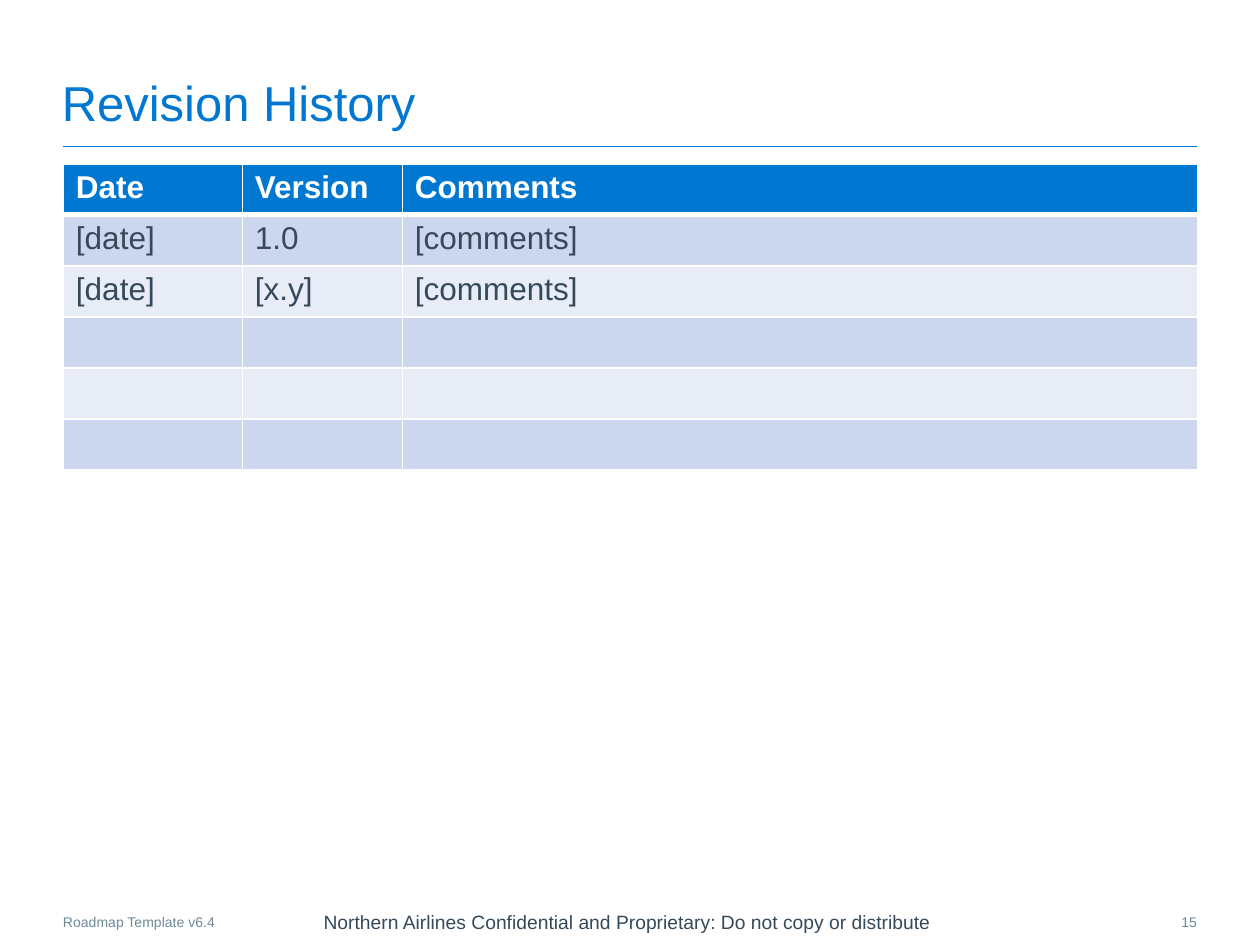
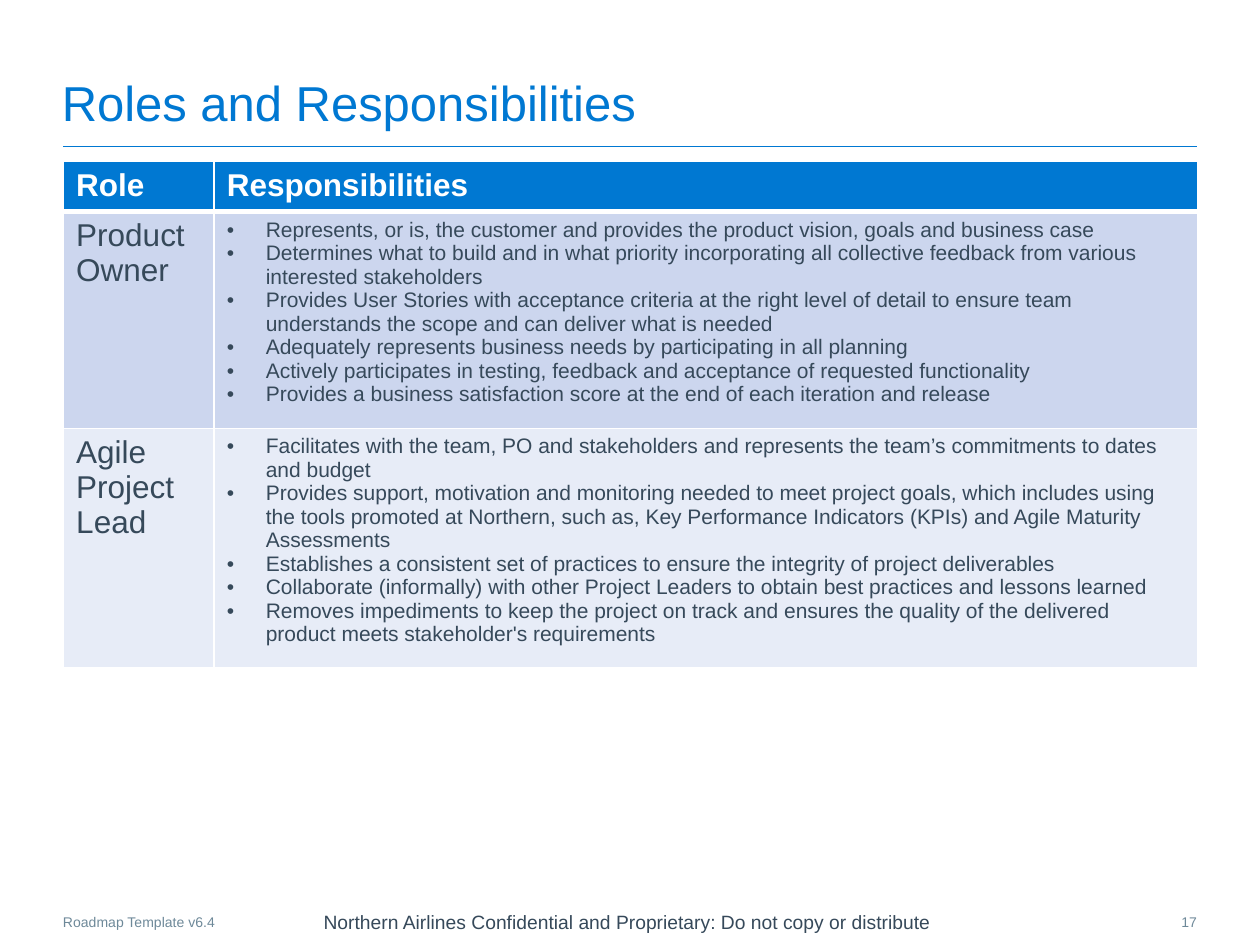
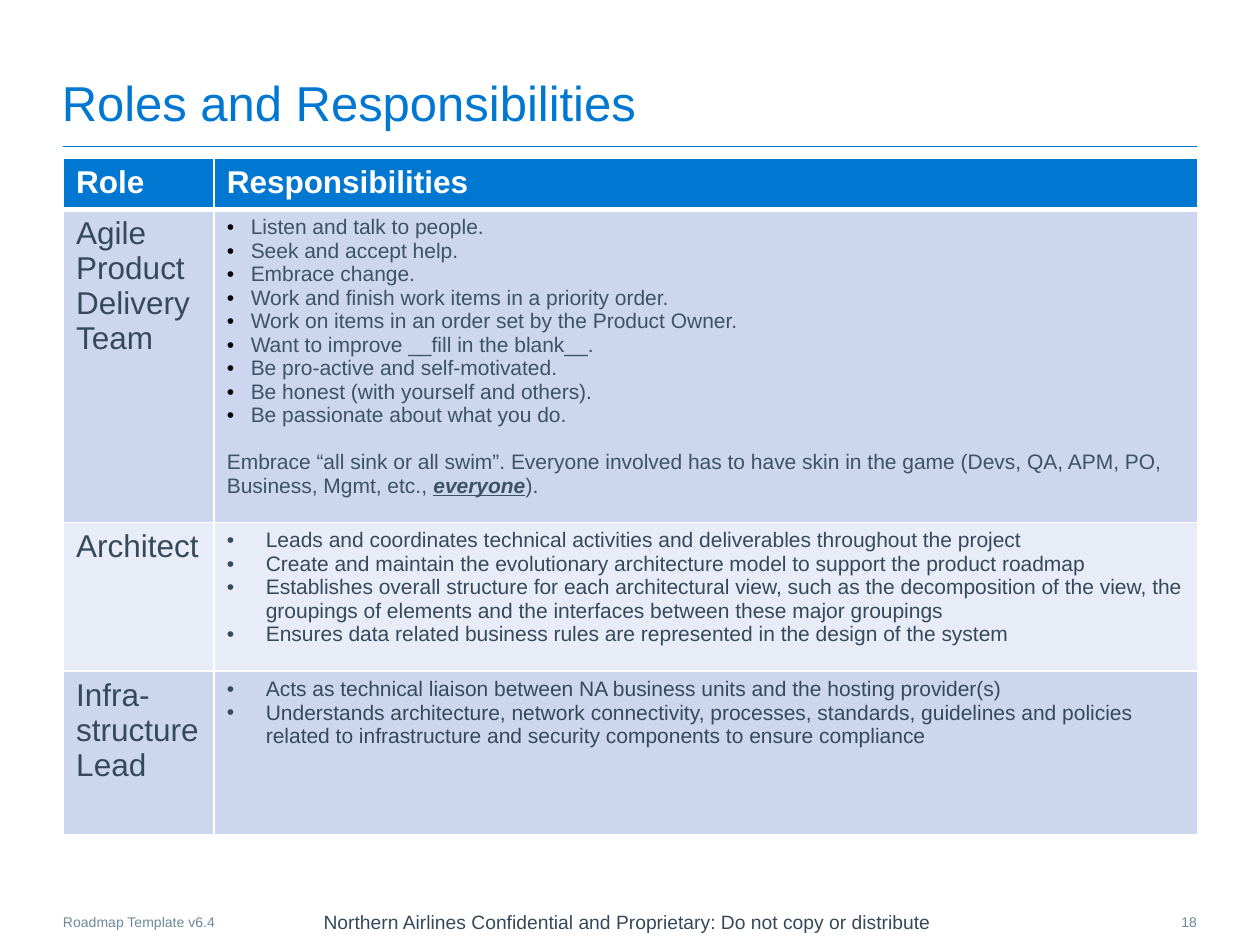
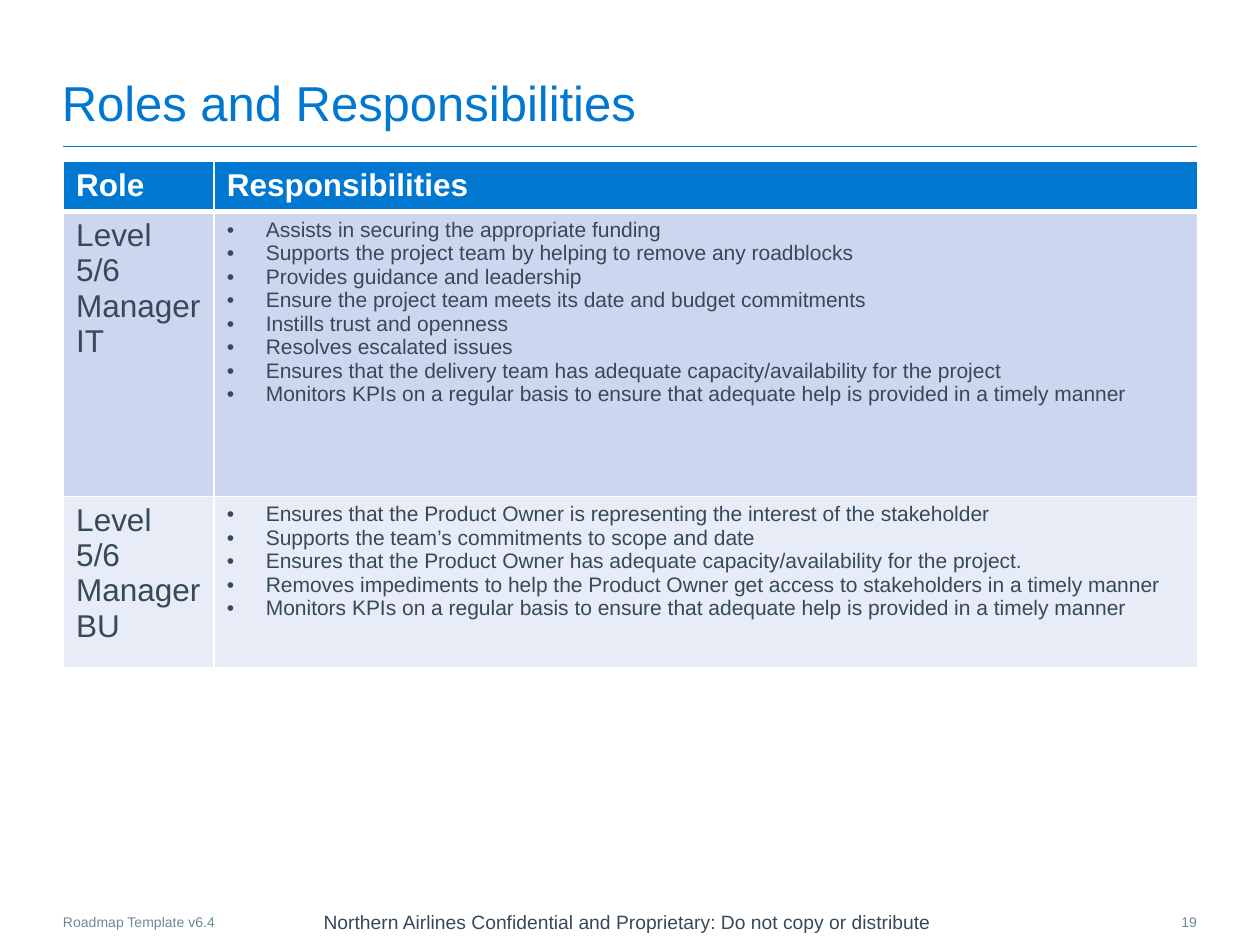
import dataclasses

import pptx
import pptx.dml.color
import pptx.enum.shapes
import pptx.enum.text
import pptx.oxml.ns
import pptx.slide
import pptx.table
import pptx.text.text
import pptx.util
from lxml import etree

COLUMNS, ROWS = 100, 75
CELL_INCHES = 0.1
FONT = "Arial"
BLUE, SLATE, GRAY = "0078D2", "36495A", "6E8999"
STEEL, WHITE, BLACK = "3D5265", "FFFFFF", "000000"
BANDS = ("CCD6EE", "E7ECF7")
LEFT, RIGHT = 5, 95
BODY_SIZE, BULLET_SIZE = 18, 12
ALIGN = pptx.enum.text.PP_ALIGN
ANCHOR = pptx.enum.text.MSO_ANCHOR


@dataclasses.dataclass(frozen=True)
class Span:
    text: str
    size: float = BODY_SIZE
    color: str = SLATE
    bold: bool = False
    emphasis: bool = False


@dataclasses.dataclass(frozen=True)
class Line:
    spans: tuple[Span, ...]
    indent: float = 0
    bullet_color: str = ""
    before: float = 0
    align: ALIGN = ALIGN.LEFT


@dataclasses.dataclass(frozen=True)
class Label:
    left: float
    top: float
    width: float
    height: float
    line: Line
    anchor: ANCHOR = ANCHOR.TOP


@dataclasses.dataclass(frozen=True)
class Grid:
    left: float
    top: float
    widths: tuple[float, ...]
    heights: tuple[float, ...]
    cells: tuple[tuple[tuple[Line, ...], ...], ...]


@dataclasses.dataclass(frozen=True)
class Page:
    number: int
    title: str
    grid: Grid


def units(count: float) -> int:
    return pptx.util.Inches(count * CELL_INCHES)


def rgb(color: str) -> pptx.dml.color.RGBColor:
    return pptx.dml.color.RGBColor.from_string(color)


def add_xml(parent: etree._Element, tag: str, **attributes: str) -> etree._Element:
    return etree.SubElement(parent, pptx.oxml.ns.qn(tag), **attributes)


def write_lines(frame: pptx.text.text.TextFrame, lines: tuple[Line, ...]) -> None:
    for index, line in enumerate(lines):
        para = frame.add_paragraph() if index else frame.paragraphs[0]
        para.alignment = line.align
        para.space_before = pptx.util.Pt(line.before)
        for span in line.spans:
            run = para.add_run()
            run.text = span.text
            run.font.name = FONT
            run.font.size = pptx.util.Pt(span.size)
            run.font.color.rgb = rgb(span.color)
            run.font.bold = span.bold or span.emphasis
            run.font.italic = span.emphasis
            run.font.underline = span.emphasis
        ending = add_xml(para._p, "a:endParaRPr", sz=str(line.spans[-1].size * 100))
        add_xml(ending, "a:latin", typeface=FONT)
        if line.indent:
            properties = para._p.get_or_add_pPr()
            properties.set("marL", str(units(line.indent)))
            properties.set("indent", str(-units(line.indent)))
            add_xml(add_xml(properties, "a:buClr"), "a:srgbClr", val=line.bullet_color)
            add_xml(properties, "a:buFont", typeface=FONT)
            add_xml(properties, "a:buChar", char="•")


def draw_label(page: pptx.slide.Slide, label: Label) -> None:
    box = page.shapes.add_textbox(
        units(label.left), units(label.top), units(label.width), units(label.height)
    )
    frame = box.text_frame
    frame.word_wrap = True
    frame.vertical_anchor = label.anchor
    frame.margin_left = frame.margin_right = frame.margin_top = frame.margin_bottom = 0
    write_lines(frame, (label.line,))


def draw_rule(page: pptx.slide.Slide) -> None:
    rule = page.shapes.add_connector(
        pptx.enum.shapes.MSO_CONNECTOR.STRAIGHT,
        units(LEFT), units(11.6), units(RIGHT), units(11.6),
    )
    rule.line.color.rgb = rgb(BLUE)
    rule.line.width = pptx.util.Pt(0.5)
    add_xml(rule._element.spPr, "a:effectLst")


def style_cell(cell: pptx.table._Cell, row: int) -> None:
    properties = cell._tc.get_or_add_tcPr()
    weights = {"L": 1, "R": 1, "T": 3 if row == 1 else 1, "B": 1 if row else 3}
    for side, weight in weights.items():
        border = add_xml(properties, f"a:ln{side}", w=str(pptx.util.Pt(weight)))
        add_xml(add_xml(border, "a:solidFill"), "a:srgbClr", val=WHITE)
    cell.fill.solid()
    cell.fill.fore_color.rgb = rgb(BANDS[(row - 1) % 2] if row else BLUE)


def draw_grid(page: pptx.slide.Slide, grid: Grid) -> None:
    table = page.shapes.add_table(
        len(grid.heights), len(grid.widths), units(grid.left), units(grid.top),
        units(sum(grid.widths)), units(sum(grid.heights)),
    ).table
    table.horz_banding = False
    for column, width in zip(table.columns, grid.widths):
        column.width = units(width)
    for row, height in enumerate(grid.heights):
        table.rows[row].height = units(height)
        for column, lines in enumerate(grid.cells[row]):
            cell = table.cell(row, column)
            style_cell(cell, row)
            write_lines(cell.text_frame, lines)


def draw_page(deck: pptx.presentation.Presentation, content: Page) -> None:
    page = deck.slides.add_slide(deck.slide_layouts[6])
    draw_rule(page)
    notice = Span("Northern Airlines Confidential and Proprietary: Do not copy or distribute", 11)
    labels = (
        Label(20.1, 71.9, 59.4, 2.6, Line((notice,), align=ALIGN.CENTER), ANCHOR.MIDDLE),
        Label(4.9, 4.2, 90.1, 6.2, Line((Span(content.title, 28, BLUE),)), ANCHOR.BOTTOM),
        Label(LEFT, 72.5, 17.7, 1.4, Line((Span("Roadmap Template v6.4", 8, GRAY),))),
        Label(91.5, 72.5, 3.5, 1.5,
              Line((Span(str(content.number), 8, GRAY),), align=ALIGN.RIGHT)),
    )
    for label in labels:
        draw_label(page, label)
    draw_grid(page, content.grid)


def plain(text: str) -> tuple[Line, ...]:
    return (Line((Span(text),)),) if text else ()


def header(*names: str) -> tuple[tuple[Line, ...], ...]:
    return tuple((Line((Span(name, color=WHITE, bold=True),)),) for name in names)


def bullets(
    *texts: str, indent: float = 3.1, color: str = SLATE, mark: str = SLATE
) -> tuple[Line, ...]:
    return tuple(Line((Span(text, BULLET_SIZE, color),), indent, mark) for text in texts)


def roles_page(
    number: int, top: float, heights: tuple[float, ...], roles: dict[str, tuple[Line, ...]]
) -> Page:
    rows = tuple((plain(role), duties) for role, duties in roles.items())
    cells = (header("Role", "Responsibilities"), *rows)
    return Page(number, "Roles and Responsibilities",
                Grid(5.05, top, (11.95, 78.05), heights, cells))


REVISIONS = (
    ("[date]", "1.0", "[comments]"),
    ("[date]", "[x.y]", "[comments]"),
    *(("", "", ""),) * 3,
)

TEAM_DUTIES = bullets(
    "Listen and talk to people.",
    "Seek and accept help.",
    "Embrace change.",
    "Work and finish work items in a priority order.",
    "Work on items in an order set by the Product Owner.",
    "Want to improve __fill in the blank__.",
    "Be pro-active and self-motivated.",
    "Be honest (with yourself and others).",
    "Be passionate about what you do.",
    indent=1.9, color=STEEL, mark=BLACK,
)

TEAM_CLOSING = Line(
    (
        Span("Embrace “all sink or all swim”. Everyone involved has to have skin in the game "
             "(Devs, QA, APM, PO, Business, Mgmt, etc., ", BULLET_SIZE, STEEL),
        Span("everyone", BULLET_SIZE, STEEL, emphasis=True),
        Span(").", BULLET_SIZE, STEEL),
    ),
    before=13.4,
)

KPI_DUTY = ("Monitors KPIs on a regular basis to ensure that adequate help "
            "is provided in a timely manner")

PAGES = (
    Page(15, "Revision History", Grid(
        5.03, 13, (14.2, 12.7, 63.1), (4.05,) * 6,
        (header("Date", "Version", "Comments"),
         *(tuple(plain(text) for text in revision) for revision in REVISIONS)),
    )),
    roles_page(17, 12.8, (3.9, 17.2, 17.2), {
        "Product Owner": bullets(
            "Represents, or is, the customer and provides the product vision, goals and "
            "business case",
            "Determines what to build and in what priority incorporating all collective "
            "feedback from various interested stakeholders",
            "Provides User Stories with acceptance criteria at the right level of detail to "
            "ensure team understands the scope and can deliver what is needed",
            "Adequately represents business needs by participating in all planning",
            "Actively participates in testing, feedback and acceptance of requested "
            "functionality",
            "Provides a business satisfaction score at the end of each iteration and release",
        ),
        "Agile Project Lead": bullets(
            "Facilitates with the team, PO and stakeholders and represents the team’s "
            "commitments to dates and budget",
            "Provides support, motivation and monitoring needed to meet project goals, which "
            "includes using the tools promoted at Northern, such as, Key Performance "
            "Indicators (KPIs) and Agile Maturity Assessments",
            "Establishes a consistent set of practices to ensure the integrity of project "
            "deliverables",
            "Collaborate (informally) with other Project Leaders to obtain best practices and "
            "lessons learned",
            "Removes impediments to keep the project on track and ensures the quality of the "
            "delivered product meets stakeholder's requirements",
        ),
    }),
    roles_page(18, 12.6, (3.8, 23.8, 11.8, 13), {
        "Agile Product Delivery Team": (*TEAM_DUTIES, TEAM_CLOSING),
        "Architect": bullets(
            "Leads and coordinates technical activities and deliverables throughout the project",
            "Create and maintain the evolutionary architecture model to support the product "
            "roadmap",
            "Establishes overall structure for each architectural view, such as the "
            "decomposition of the view, the groupings of elements and the interfaces between "
            "these major groupings",
            "Ensures data related business rules are represented in the design of the system",
        ),
        "Infra-structure Lead": bullets(
            "Acts as technical liaison between NA business units and the hosting provider(s)",
            "Understands architecture, network connectivity, processes, standards, guidelines "
            "and policies related to infrastructure and security components to ensure "
            "compliance",
        ),
    }),
    roles_page(19, 12.8, (3.6, 22.6, 13.6), {
        "Level 5/6 Manager IT": bullets(
            "Assists in securing the appropriate funding",
            "Supports the project team by helping to remove any roadblocks",
            "Provides guidance and leadership",
            "Ensure the project team meets its date and budget commitments",
            "Instills trust and openness",
            "Resolves escalated issues",
            "Ensures that the delivery team has adequate capacity/availability for the project",
            KPI_DUTY,
        ),
        "Level 5/6 Manager BU": bullets(
            "Ensures that the Product Owner is representing the interest of the stakeholder",
            "Supports the team’s commitments to scope and date",
            "Ensures that the Product Owner has adequate capacity/availability for the project.",
            "Removes impediments to help the Product Owner get access to stakeholders in a "
            "timely manner",
            KPI_DUTY,
        ),
    }),
)


def main() -> None:
    deck = pptx.Presentation()
    deck.slide_width, deck.slide_height = units(COLUMNS), units(ROWS)
    for content in PAGES:
        draw_page(deck, content)
    deck.save("out.pptx")


if __name__ == "__main__":
    main()
